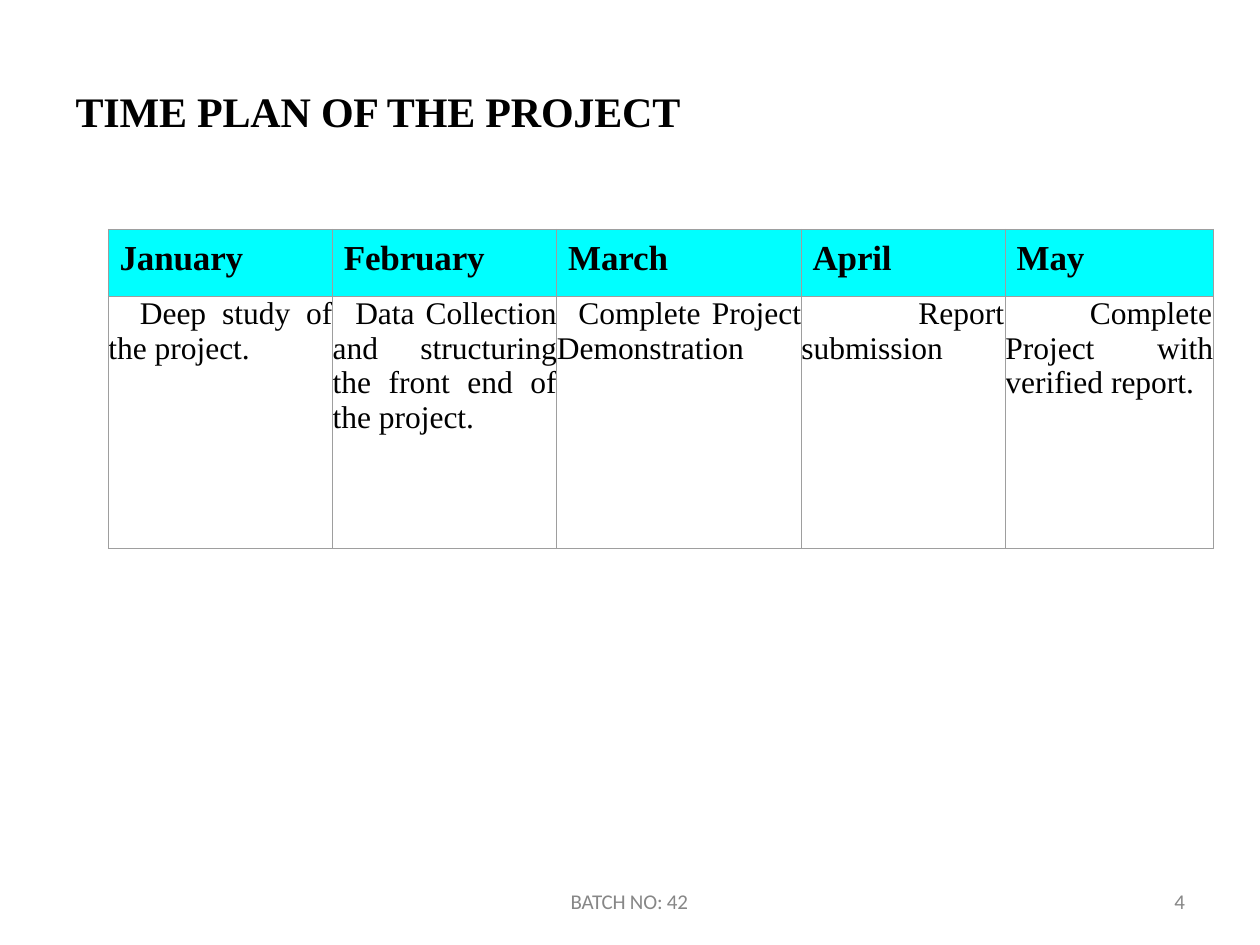
from lxml import etree
from pptx import Presentation
from pptx import util as u
from pptx.dml.color import RGBColor
from pptx.enum import text
from pptx.oxml import ns

BLACK = RGBColor(0, 0, 0)
GRAY = RGBColor(0x87, 0x87, 0x87)
CYAN = RGBColor(0, 0xFF, 0xFF)
EDGE = RGBColor(0x9E, 0x9E, 0x9E)
SERIF = "Times New Roman"
SANS = "Calibri"

PLAN = [
    ("January", "Deep study of the project.", 1.78, 0.25),
    ("February", "Data Collection and structuring the front end of the project.", 1.78, 0.18),
    ("March", "Complete Project Demonstration", 1.94, 0.17),
    ("April", "Report submission", 1.62, 0.93),
    ("May", "Complete Project with verified report.", 1.65, 0.67),
]


class Deck:
    def __init__(self):
        self.file = Presentation()
        self.file.slide_width = u.Inches(10)
        self.file.slide_height = u.Inches(7.5)
        self.slide = self.file.slides.add_slide(self.file.slide_layouts[6])

    def style(self, para, face, size, color, bold=False, tight=True):
        for run in para.runs:
            font = run.font
            font.name, font.size, font.bold = face, u.Pt(size), bold
            font.color.rgb = color
            if tight:
                run._r.get_or_add_rPr().set("spc", "-10")

    def inset(self, item, left=0, top=0):
        item.margin_left, item.margin_top = u.Inches(left), u.Inches(top)
        item.margin_right = item.margin_bottom = 0

    def label(self, words, left, top, width, height, face, size, color,
              bold=False, inset=(0, 0), line=None, before=0, tight=True):
        box = self.slide.shapes.add_textbox(*map(u.Inches, (left, top, width, height)))
        frame = box.text_frame
        frame.text = words
        frame.word_wrap = True
        self.inset(frame, *inset)
        para = frame.paragraphs[0]
        para.space_before = u.Pt(before)
        if line:
            para.line_spacing = u.Pt(line)
        self.style(para, face, size, color, bold, tight)

    def border(self, cell):
        props = cell._tc.get_or_add_tcPr()
        for side in ("lnL", "lnR", "lnT", "lnB"):
            line = etree.SubElement(props, ns.qn("a:" + side), w=str(u.Pt(0.75)))
            fill = etree.SubElement(line, ns.qn("a:solidFill"))
            etree.SubElement(fill, ns.qn("a:srgbClr"), val=str(EDGE))

    def cell(self, cell, words, size, bold=False, tight=False):
        cell.text_frame.text = words
        para = cell.text_frame.paragraphs[0]
        para.alignment = text.PP_ALIGN.JUSTIFY
        self.style(para, SERIF, size, BLACK, bold, tight)
        self.border(cell)
        return para

    def table(self, plan, left, top, heights):
        width = sum(row[2] for row in plan)
        size = map(u.Inches, (left, top, width, sum(heights)))
        grid = self.slide.shapes.add_table(2, len(plan), *size).table
        grid.first_row = grid.horz_banding = False
        for row, height in zip(grid.rows, heights):
            row.height = u.Inches(height)
        for col, (month, task, wide, indent) in enumerate(plan):
            grid.columns[col].width = u.Inches(wide)
            head, body = grid.cell(0, col), grid.cell(1, col)
            self.cell(head, month, 20, True, True).space_before = u.Pt(6)
            self.inset(head, 0.09, 0.08)
            head.fill.solid()
            head.fill.fore_color.rgb = CYAN
            para = self.cell(body, task, 18)
            para._p.get_or_add_pPr().set("indent", str(u.Inches(indent)))
            self.inset(body)
            body.fill.background()


def main():
    deck = Deck()
    deck.label("BATCH NO: 42", 4.52, 7.08, 1.07, 0.17, SANS, 12, GRAY,
               inset=(0.01, 0), line=12.4)
    deck.label("4", 9.29, 7.08, 0.14, 0.19, SANS, 12, GRAY,
               inset=(0.03, 0), line=12.4, tight=False)
    deck.label("TIME PLAN OF THE PROJECT", 0.59, 0.67, 4.85, 0.43, SERIF, 24, BLACK,
               bold=True, inset=(0.01, 0.01), before=1)
    deck.table(PLAN, 0.86, 1.82, (0.53, 2))
    deck.file.save("out.pptx")


if __name__ == "__main__":
    main()
